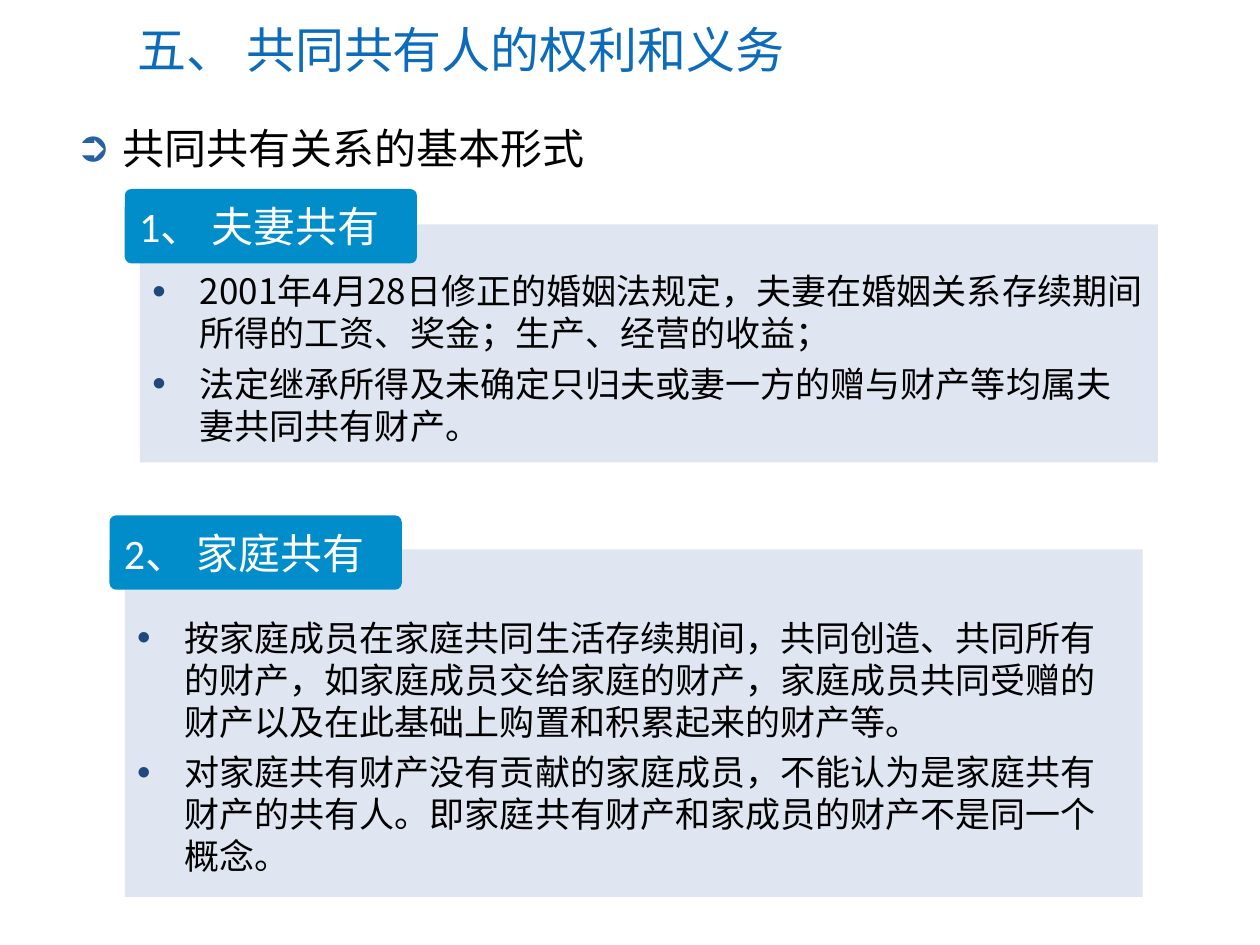
"""Build the slide on the rights and duties of joint owners."""
from dataclasses import dataclass

from lxml.etree import SubElement
from pptx import Presentation
from pptx.dml.color import RGBColor
from pptx.enum.shapes import MSO_SHAPE
from pptx.enum.text import MSO_ANCHOR, MSO_AUTO_SIZE, PP_ALIGN
from pptx.oxml.ns import qn
from pptx.shapes.autoshape import Shape
from pptx.slide import Slide
from pptx.util import Pt

TITLE_BLUE = RGBColor(0x0C, 0x6B, 0xBA)
ARROW_BLUE = RGBColor(0x28, 0x60, 0xA4)
BULLET_NAVY = RGBColor(0x1F, 0x49, 0x7D)
TAG_BLUE = RGBColor(0x00, 0x8D, 0xCA)
PANEL_GREY = RGBColor(0xE0, 0xE6, 0xF1)
BLACK = RGBColor(0x00, 0x00, 0x00)
WHITE = RGBColor(0xFF, 0xFF, 0xFF)
LATIN_FONT = "Calibri"
CHINESE_FONT = "Noto Sans CJK SC"
INDENT = Pt(27)
PANEL_INSET = 8.6
PANEL_WIDTH = 581.8


@dataclass(frozen=True)
class Box:
    left: float
    top: float
    width: float
    height: float


@dataclass(frozen=True)
class Bullet:
    mark: str
    color: RGBColor
    percent: int = 100


@dataclass(frozen=True)
class TextStyle:
    font: str
    size: float
    color: RGBColor
    space_before: float = 0


@dataclass(frozen=True)
class Section:
    heading: str
    points: tuple[str, ...]
    placeholder: int
    left: float
    top: float
    panel_top: float
    panel_height: float
    list_top: float
    list_height: float


TITLE_STYLE = TextStyle(LATIN_FONT, 28, TITLE_BLUE)
TOPIC_STYLE = TextStyle(LATIN_FONT, 24, BLACK)
TAG_STYLE = TextStyle(LATIN_FONT, 24, WHITE)
POINT_STYLE = TextStyle(CHINESE_FONT, 20, BLACK, 5)
TOPIC_BULLET = Bullet("➲", ARROW_BLUE)
POINT_BULLET = Bullet("•", BULLET_NAVY, 110)

SECTIONS = (
    Section(
        "1、 夫妻共有",
        (
            "2001年4月28日修正的婚姻法规定，夫妻在婚姻关系存续期间所得的工资、奖金；生产、经营的收益；",
            "法定继承所得及未确定只归夫或妻一方的赠与财产等均属夫妻共同共有财产。",
        ),
        2, 71.3, 108, 128.2, 136.1, 150.5, 108.7,
    ),
    Section(
        "2、 家庭共有",
        (
            "按家庭成员在家庭共同生活存续期间，共同创造、共同所有的财产，如家庭成员交给家庭的财产，"
            "家庭成员共同受赠的财产以及在此基础上购置和积累起来的财产等。",
            "对家庭共有财产没有贡献的家庭成员，不能认为是家庭共有财产的共有人。"
            "即家庭共有财产和家成员的财产不是同一个概念。",
        ),
        4, 62.6, 294.5, 313.9, 198.7, 348.5, 156.2,
    ),
)


def place(shape: Shape, box: Box) -> None:
    """Move and size a shape."""
    shape.left, shape.top = Pt(box.left), Pt(box.top)
    shape.width, shape.height = Pt(box.width), Pt(box.height)


def add_bullet(paragraph, bullet: Bullet) -> None:
    """Give a paragraph a hanging coloured bullet."""
    properties = paragraph._p.get_or_add_pPr()
    properties.set("marL", str(INDENT))
    properties.set("indent", str(-INDENT))
    color = SubElement(properties, qn("a:buClr"))
    SubElement(color, qn("a:srgbClr"), val=str(bullet.color))
    SubElement(properties, qn("a:buSzPct"), val=str(bullet.percent * 1000))
    SubElement(properties, qn("a:buFont"), typeface="Arial")
    SubElement(properties, qn("a:buChar"), char=bullet.mark)


def write(shape: Shape, lines: tuple[str, ...], style: TextStyle,
          anchor: MSO_ANCHOR, bullet: Bullet | None = None) -> None:
    """Fill a shape with evenly styled, left-aligned paragraphs."""
    frame = shape.text_frame
    frame.word_wrap = True
    frame.auto_size = MSO_AUTO_SIZE.NONE
    frame.vertical_anchor = anchor
    frame.text = "\n".join(lines)
    for index, paragraph in enumerate(frame.paragraphs):
        if bullet:
            add_bullet(paragraph, bullet)
        paragraph.alignment = PP_ALIGN.LEFT
        paragraph.space_before = Pt(style.space_before if index else 0)
        paragraph.font.name = style.font
        paragraph.font.size = Pt(style.size)
        paragraph.font.bold = False
        paragraph.font.color.rgb = style.color


def add_block(slide: Slide, kind: MSO_SHAPE, box: Box, color: RGBColor) -> Shape:
    """Add a flat filled shape."""
    block = slide.shapes.add_shape(
        kind, Pt(box.left), Pt(box.top), Pt(box.width), Pt(box.height))
    block.shadow.inherit = False
    block.fill.solid()
    block.fill.fore_color.rgb = color
    block.line.fill.background()
    return block


def add_section(slide: Slide, section: Section) -> None:
    """Draw a panel with its list and heading tag."""
    panel_left = section.left + PANEL_INSET
    panel = add_block(
        slide, MSO_SHAPE.RECTANGLE,
        Box(panel_left, section.panel_top, PANEL_WIDTH, section.panel_height),
        PANEL_GREY)
    points = slide.placeholders[section.placeholder]
    points.element.addprevious(panel.element)
    place(points, Box(panel_left, section.list_top, PANEL_WIDTH, section.list_height))
    write(points, section.points, POINT_STYLE, MSO_ANCHOR.TOP, POINT_BULLET)
    tag = add_block(
        slide, MSO_SHAPE.ROUNDED_RECTANGLE,
        Box(section.left, section.top, 167, 42.5), TAG_BLUE)
    tag.adjustments[0] = 0.09
    write(tag, (section.heading,), TAG_STYLE, MSO_ANCHOR.MIDDLE)


def main() -> None:
    """Build and save the slide."""
    presentation = Presentation()
    presentation.slide_width, presentation.slide_height = Pt(720), Pt(540)
    slide = presentation.slides.add_slide(presentation.slide_layouts[4])
    title, topic = slide.shapes.title, slide.placeholders[1]
    place(title, Box(71.3, 7.2, 627.8, 41.8))
    write(title, ("五、 共同共有人的权利和义务",), TITLE_STYLE, MSO_ANCHOR.MIDDLE)
    place(topic, Box(36, 66.2, 648, 43.9))
    write(topic, ("共同共有关系的基本形式",), TOPIC_STYLE, MSO_ANCHOR.TOP, TOPIC_BULLET)
    spare = slide.placeholders[3].element
    spare.getparent().remove(spare)
    for section in SECTIONS:
        add_section(slide, section)
    presentation.save("out.pptx")


if __name__ == "__main__":
    main()
